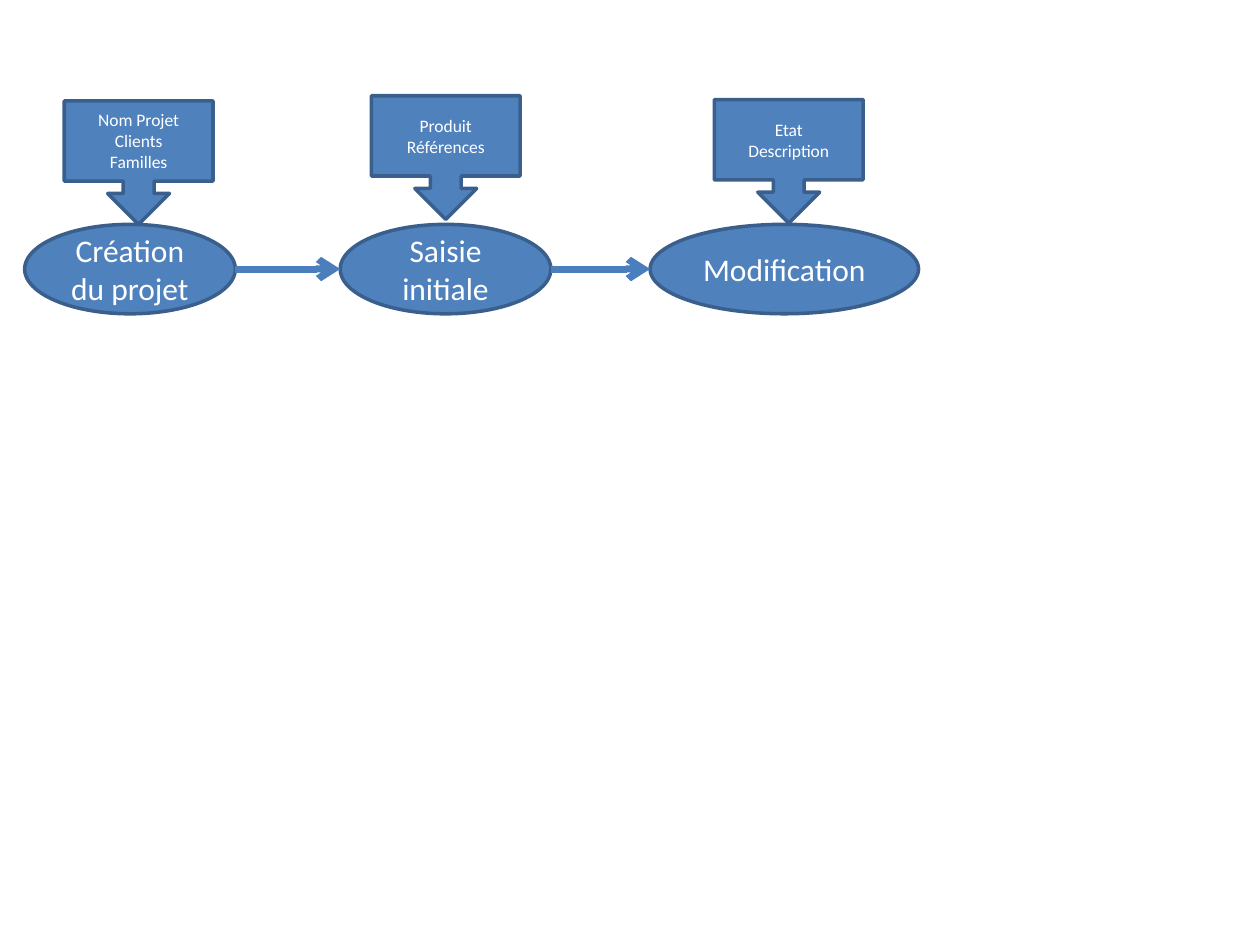
"""Build a slide showing three project steps and the data each one needs."""
import dataclasses
import itertools

import lxml.etree
import pptx
import pptx.dml.color
import pptx.enum.shapes
import pptx.enum.text
import pptx.oxml.ns
import pptx.util

Pt = pptx.util.Pt
RGB = pptx.dml.color.RGBColor
KIND = pptx.enum.shapes.MSO_SHAPE
qn = pptx.oxml.ns.qn


@dataclasses.dataclass(frozen=True)
class Theme:
    fill: RGB = RGB.from_string("4F81BD")
    edge: RGB = RGB.from_string("3A5F8C")
    link: RGB = RGB.from_string("4B7EBC")
    text: RGB = RGB.from_string("FFFFFF")
    font: str = "Calibri"
    step: int = 18
    note: int = 10
    border: int = 2
    arrow: int = 4


THEME = Theme()
STEP_TOP, STEP_HEIGHT = 128.2, 51.1
NOTE_WIDTH, NOTE_HEIGHT = 85, 70.6
STEPS = [
    ("Création du projet", 14.1, 120.4),
    ("Saisie initiale", 194.4, 120.4),
    ("Modification", 371.5, 153.4),
]
NOTES = [
    (["Nom Projet", "Clients", "Familles"], 36.7, 57.6),
    (["Produit", "Références"], 212.2, 54.7),
    (["Etat", "Description"], 408.2, 56.9),
]


def add_node(slide, kind, box, lines, size):
    node = slide.shapes.add_shape(kind, *map(Pt, box))
    node.shadow.inherit = False
    node.fill.solid()
    node.fill.fore_color.rgb = THEME.fill
    node.line.color.rgb = THEME.edge
    node.line.width = Pt(THEME.border)
    frame = node.text_frame
    frame.word_wrap = True
    frame.vertical_anchor = pptx.enum.text.MSO_ANCHOR.MIDDLE
    for i, line in enumerate(lines):
        para = frame.add_paragraph() if i else frame.paragraphs[0]
        para.alignment = pptx.enum.text.PP_ALIGN.CENTER
        run = para.add_run()
        run.text = line
        run.font.name = THEME.font
        run.font.size = Pt(size)
        run.font.color.rgb = THEME.text
    return node


def add_link(slide, start, end):
    link = slide.shapes.add_connector(
        pptx.enum.shapes.MSO_CONNECTOR.STRAIGHT, 0, 0, 0, 0
    )
    link.begin_connect(start, 3)
    link.end_connect(end, 1)
    link.begin_x, link.end_x = start.left + start.width, end.left
    link.begin_y = link.end_y = start.top + start.height // 2
    link.line.color.rgb = THEME.link
    link.line.width = Pt(THEME.arrow)
    props = link._element.spPr
    lxml.etree.SubElement(props.find(qn("a:ln")), qn("a:tailEnd"), type="arrow")
    lxml.etree.SubElement(props, qn("a:effectLst"))
    for tag, site in (("a:stCxn", 6), ("a:endCxn", 2)):
        next(link._element.iter(qn(tag))).set("idx", str(site))


def main():
    deck = pptx.Presentation()
    deck.slide_width, deck.slide_height = Pt(720), Pt(540)
    slide = deck.slides.add_slide(deck.slide_layouts[6])
    steps = [
        add_node(slide, KIND.OVAL, (left, STEP_TOP, width, STEP_HEIGHT),
                 [name], THEME.step)
        for name, left, width in STEPS
    ]
    for start, end in itertools.pairwise(steps):
        add_link(slide, start, end)
    for lines, left, top in NOTES:
        add_node(slide, KIND.DOWN_ARROW_CALLOUT,
                 (left, top, NOTE_WIDTH, NOTE_HEIGHT), lines, THEME.note)
    deck.save("out.pptx")


if __name__ == "__main__":
    main()
